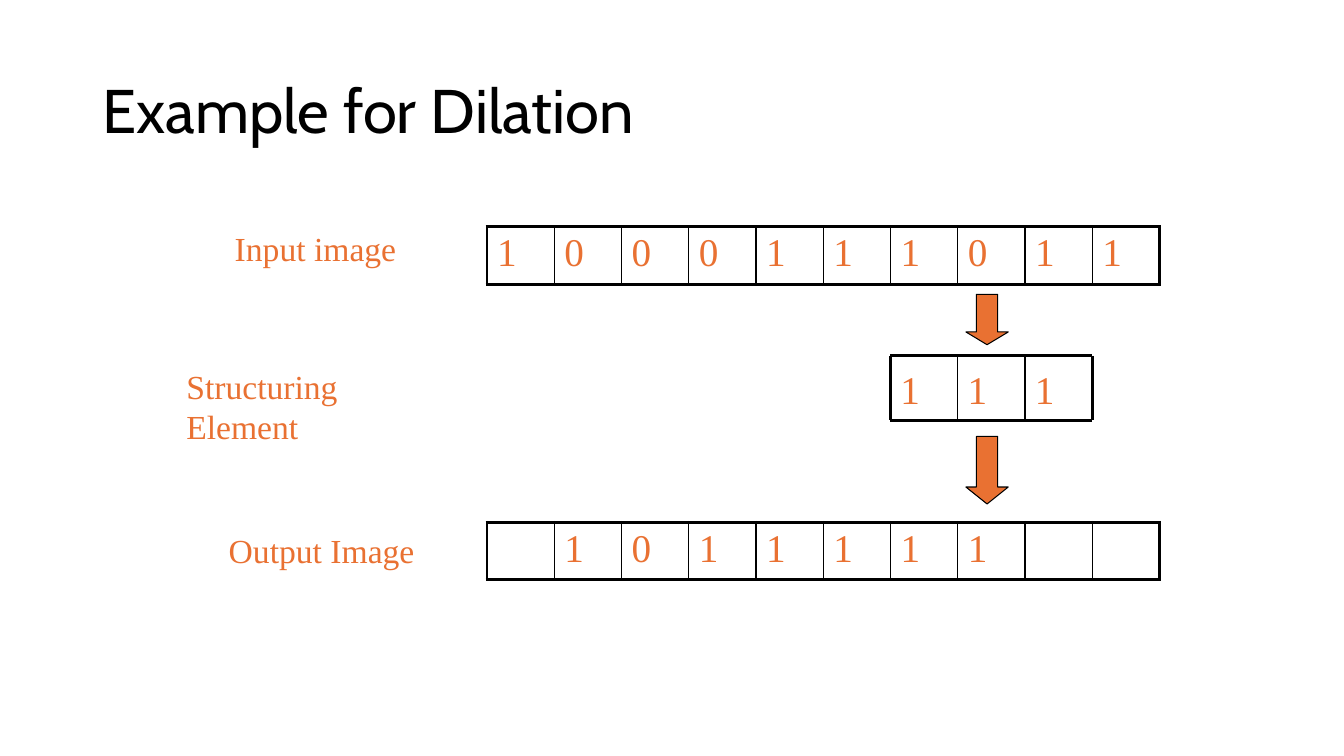
from dataclasses import dataclass

from lxml.etree import SubElement
from pptx import Presentation
from pptx.dml.color import RGBColor
from pptx.enum.shapes import MSO_CONNECTOR, MSO_SHAPE
from pptx.enum.text import MSO_ANCHOR, MSO_AUTO_SIZE
from pptx.oxml.ns import qn
from pptx.util import Inches, Pt


@dataclass(frozen=True)
class Theme:
    ink: str = "000000"
    accent: str = "E97132"
    head: str = "Cabin"
    body: str = "Times New Roman"
    title: int = 44
    label: int = 24
    digit: int = 28
    thick: float = 2.25
    thin: float = 1
    edge: float = 0.75


THEME = Theme()

# Pixel grid shared by all three rows
LEFT = 4.83
COUNT = 10
SIDE = 6.67 / COUNT
HIGH = 0.57


def add_run(para, text, size, font=THEME.body, color=THEME.accent):
    run = para.add_run()
    run.text = text
    run.font.size = Pt(size)
    run.font.name = font
    run.font.color.rgb = RGBColor.from_string(color)


def add_title(shapes, text):
    box = shapes.add_textbox(Inches(0.92), Inches(0.4), Inches(11.5), Inches(1.45))
    frame = box.text_frame
    frame.word_wrap = True
    frame.vertical_anchor = MSO_ANCHOR.MIDDLE
    para = frame.paragraphs[0]
    para.line_spacing = 0.9
    add_run(para, text, THEME.title, THEME.head, THEME.ink)


def add_label(shapes, text, left, top, width):
    box = shapes.add_textbox(Inches(left), Inches(top), Inches(width), Inches(0.5))
    frame = box.text_frame
    frame.word_wrap = False
    frame.auto_size = MSO_AUTO_SIZE.SHAPE_TO_FIT_TEXT
    add_run(frame.paragraphs[0], text, THEME.label)


def set_edge(cell, side, width):
    line = SubElement(cell._tc.get_or_add_tcPr(), qn(f"a:ln{side}"), w=str(Pt(width)))
    fill = SubElement(line, qn("a:solidFill"))
    SubElement(fill, qn("a:srgbClr"), val=THEME.ink)


def add_row(shapes, digits, top):
    """Draw one row of pixels; a space leaves its cell empty."""
    frame = shapes.add_table(1, COUNT, Inches(LEFT), Inches(top),
                             Inches(SIDE * COUNT), Inches(HIGH))
    table = frame.table
    table.first_row = table.horz_banding = False
    for col, digit in enumerate(digits):
        table.columns[col].width = Inches(SIDE)
        cell = table.cell(0, col)
        set_edge(cell, "L", THEME.thick if col == 0 else THEME.thin)
        set_edge(cell, "R", THEME.thick if col == COUNT - 1 else THEME.thin)
        set_edge(cell, "T", THEME.thick)
        set_edge(cell, "B", THEME.thick)
        cell.fill.background()
        if digit.strip():
            add_run(cell.text_frame.paragraphs[0], digit, THEME.digit)


def add_line(shapes, start, end, width):
    line = shapes.add_connector(MSO_CONNECTOR.STRAIGHT,
                                *(Inches(value) for value in (*start, *end)))
    line.line.color.rgb = RGBColor.from_string(THEME.ink)
    line.line.width = Pt(width)
    SubElement(line._element.spPr, qn("a:effectLst"))


def add_mask(shapes, digits, first, top, high):
    """Draw the structuring element under the pixel numbered first."""
    left = LEFT + first * SIDE
    count = len(digits)
    right, base = left + count * SIDE, top + high
    for col, digit in enumerate(digits):
        box = shapes.add_textbox(Inches(left + col * SIDE), Inches(top),
                                 Inches(SIDE), Inches(high))
        frame = box.text_frame
        frame.word_wrap = True
        frame.margin_top = Inches(0.09)
        add_run(frame.paragraphs[0], digit, THEME.digit)
    for level in (top, base):
        add_line(shapes, (left, level), (right, level), THEME.thick)
    for col in range(count + 1):
        place = left + col * SIDE
        width = THEME.thick if col in (0, count) else THEME.thin
        add_line(shapes, (place, top), (place, base), width)


def add_arrow(shapes, top, high, tip):
    arrow = shapes.add_shape(MSO_SHAPE.DOWN_ARROW, Inches(9.58), Inches(top),
                             Inches(0.42), Inches(high))
    arrow.adjustments[0] = 0.5
    arrow.adjustments[1] = tip
    arrow.shadow.inherit = False
    arrow.fill.solid()
    arrow.fill.fore_color.rgb = RGBColor.from_string(THEME.accent)
    arrow.line.color.rgb = RGBColor.from_string(THEME.ink)
    arrow.line.width = Pt(THEME.edge)


def main():
    deck = Presentation()
    deck.slide_width, deck.slide_height = Inches(13.33), Inches(7.5)
    shapes = deck.slides.add_slide(deck.slide_layouts[6]).shapes

    add_title(shapes, "Example for Dilation")

    # Input and output rows with their labels
    add_row(shapes, "1000111011", 2.25)
    add_label(shapes, "Input image", 2.23, 2.21, 1.8)
    add_label(shapes, "Structuring Element", 1.75, 3.58, 2.89)
    add_row(shapes, " 1011111  ", 5.18)
    add_label(shapes, "Output Image", 2.17, 5.21, 2.04)

    # Structuring element with the arrows in and out
    group = shapes.add_group_shape().shapes
    add_mask(group, "111", 6, 3.53, 0.64)
    add_arrow(group, 4.33, 0.67, 0.4)
    add_arrow(group, 2.92, 0.5, 0.3)

    deck.save("out.pptx")


if __name__ == "__main__":
    main()
